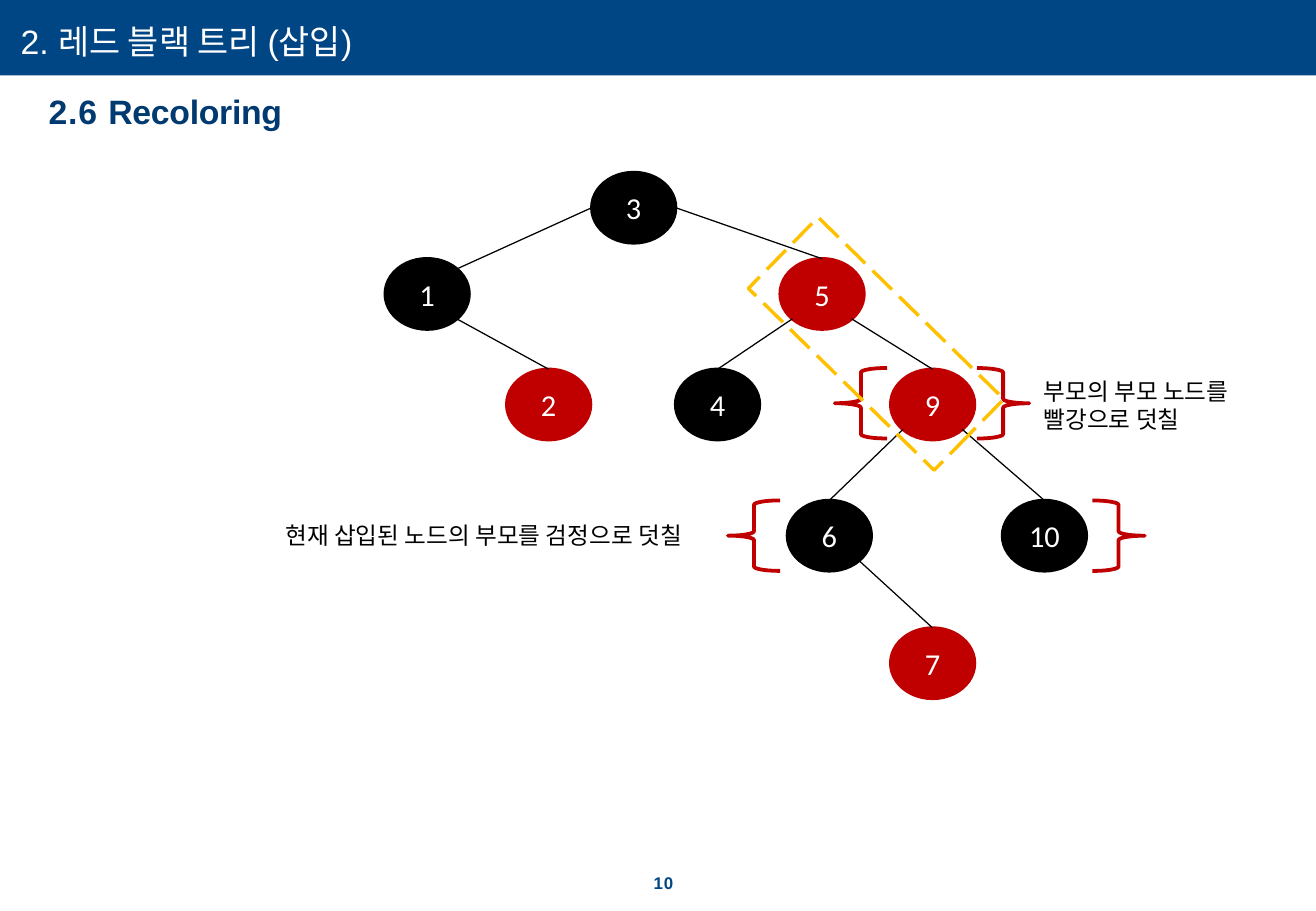
from pptx import Presentation, util as u
from pptx.dml.color import RGBColor
from pptx.enum import dml, shapes, text
from pptx.oxml.ns import qn
from lxml import etree

CELL = u.Inches(0.01)
COLS, ROWS = 1083, 750
HUES = {"bar": "004685", "head": "003A70", "white": "FFFFFF",
        "black": "000000", "red": "C00000", "gold": "FFC000"}
NODE = (69, 58)
NODES = {
    "3": (170, 0, "black"), "1": (0, 71, "black"), "5": (325, 71, "red"),
    "2": (100, 162, "red"), "4": (239, 162, "black"), "9": (416, 162, "red"),
    "6": (331, 270, "black"), "10": (508, 270, "black"), "7": (416, 375, "red"),
}
EDGES = [("3", "1"), ("3", "5"), ("1", "2"), ("5", "4"), ("5", "9"),
         ("9", "6"), ("9", "10"), ("6", "7")]
DIAG = 0.5 ** 0.5


def hue(name):
    return RGBColor.from_string(HUES[name])


def apply(item, **opts):
    for key, val in opts.items():
        setattr(item, key, val)


def size(box):
    return [round(part * CELL) for part in box]


def write(shape, runs, face, pt, tint, bold=False):
    para = shape.text_frame.paragraphs[0]
    for words, gap in runs:
        run = para.add_run()
        run.text = words
        apply(run.font, name=face, size=u.Pt(pt), bold=bold)
        run.font.color.rgb = hue(tint)
        if gap:
            run.font._element.set("spc", str(gap))
    return para


def label(slide, box, runs, face, pt, tint, bold=False, inset=None):
    shape = slide.shapes.add_textbox(*size(box))
    frame = shape.text_frame
    apply(frame, word_wrap=True, auto_size=text.MSO_AUTO_SIZE.SHAPE_TO_FIT_TEXT)
    if inset is not None:
        apply(frame, **{f"margin_{side}": inset
                        for side in ("left", "right", "top", "bottom")})
    return write(shape, runs, face, pt, tint, bold)


def draw(slide, kind, box, fill=None, line=None, width=2):
    shape = slide.shapes.add_shape(kind, *size(box))
    shape.shadow.inherit = False
    if fill:
        shape.fill.solid()
        shape.fill.fore_color.rgb = hue(fill)
    else:
        shape.fill.background()
    if line:
        shape.line.color.rgb = hue(line)
        shape.line.width = u.Pt(width)
    else:
        shape.line.fill.background()
    return shape


def header(slide, box):
    x, y, w, h = box
    draw(slide, shapes.MSO_SHAPE.RECTANGLE, box, "bar")
    label(slide, (x + 17, y + 17, w / 2, 67), [("2. 레드 블랙 트리 (삽입)", 0)],
          "Arial", 20, "white", inset=0)
    label(slide, (x + 40, y + h + 13, 660, 34),
          [("2.6 ", 50), ("Recoloring", -20)], "Arial", 20, "head", True, 0)


def footer(slide, box):
    para = label(slide, box, [("10", 50)], "Arial", 10, "bar", True, 0)
    para.line_spacing = u.Pt(10.9)


def edge(slide, x, y, top, end):
    w, h = NODE
    px, py, _ = NODES[top]
    cx, cy, _ = NODES[end]
    side = 1 if cx > px else -1
    start = [x + px + w / 2 * (1 + side * DIAG), y + py + h / 2 * (1 + DIAG)]
    stop = [x + cx + w / 2, y + cy]
    if top == "3":
        start = [x + px + w / 2 * (1 + side), y + py + h / 2]
        if side < 0:
            stop = [x + cx + w / 2 * (1 + DIAG), y + cy + h / 2 * (1 - DIAG)]
    link = slide.shapes.add_connector(shapes.MSO_CONNECTOR.STRAIGHT,
                                      *size(start + stop))
    link.line.color.rgb = hue("black")
    link.line.width = u.Pt(0.75)
    etree.SubElement(link._element.spPr, qn("a:effectLst"))


def tree(slide, box):
    x, y, _, _ = box
    for name, (col, row, tint) in NODES.items():
        node = draw(slide, shapes.MSO_SHAPE.OVAL, (x + col, y + row, *NODE),
                    tint, tint)
        node.text_frame.vertical_anchor = text.MSO_ANCHOR.MIDDLE
        para = write(node, [(name, 0)], "Calibri", 18, "white")
        para.alignment = text.PP_ALIGN.CENTER
    for top, end in EDGES:
        edge(slide, x, y, top, end)


def notes(slide, box):
    x, y, _, _ = box
    for left, right, row in ((282, 582, 270), (370, 487, 161)):
        for col, turn in ((left, 0), (right, 180)):
            brace = draw(slide, shapes.MSO_SHAPE.LEFT_BRACE,
                         (x + col, y + row, 43, 58), line="red", width=2.25)
            brace.rotation = turn
    for col, row, w, h, words in (
            (-92, 282, 374, 34, "현재 삽입된 노드의 부모를 검정으로 덧칠"),
            (532, 163, 235, 57, "부모의 부모 노드를 빨강으로 덧칠")):
        label(slide, (x + col, y + row, w, h), [(words, 0)],
              "Calibri", 14, "black")
    frame = draw(slide, shapes.MSO_SHAPE.RECTANGLE,
                 (x + 363, y + 34, 82, 214), line="gold")
    frame.rotation = 314.4
    frame.line.dash_style = dml.MSO_LINE.LONG_DASH


def main():
    deck = Presentation()
    apply(deck, slide_width=COLS * CELL, slide_height=ROWS * CELL)
    slide = deck.slides.add_slide(deck.slide_layouts[6])
    area = (317, 142, 625, 433)
    header(slide, (0, 0, COLS, 62))
    footer(slide, (538, 720, 26, 15))
    tree(slide, area)
    notes(slide, area)
    deck.save("out.pptx")


if __name__ == "__main__":
    main()
